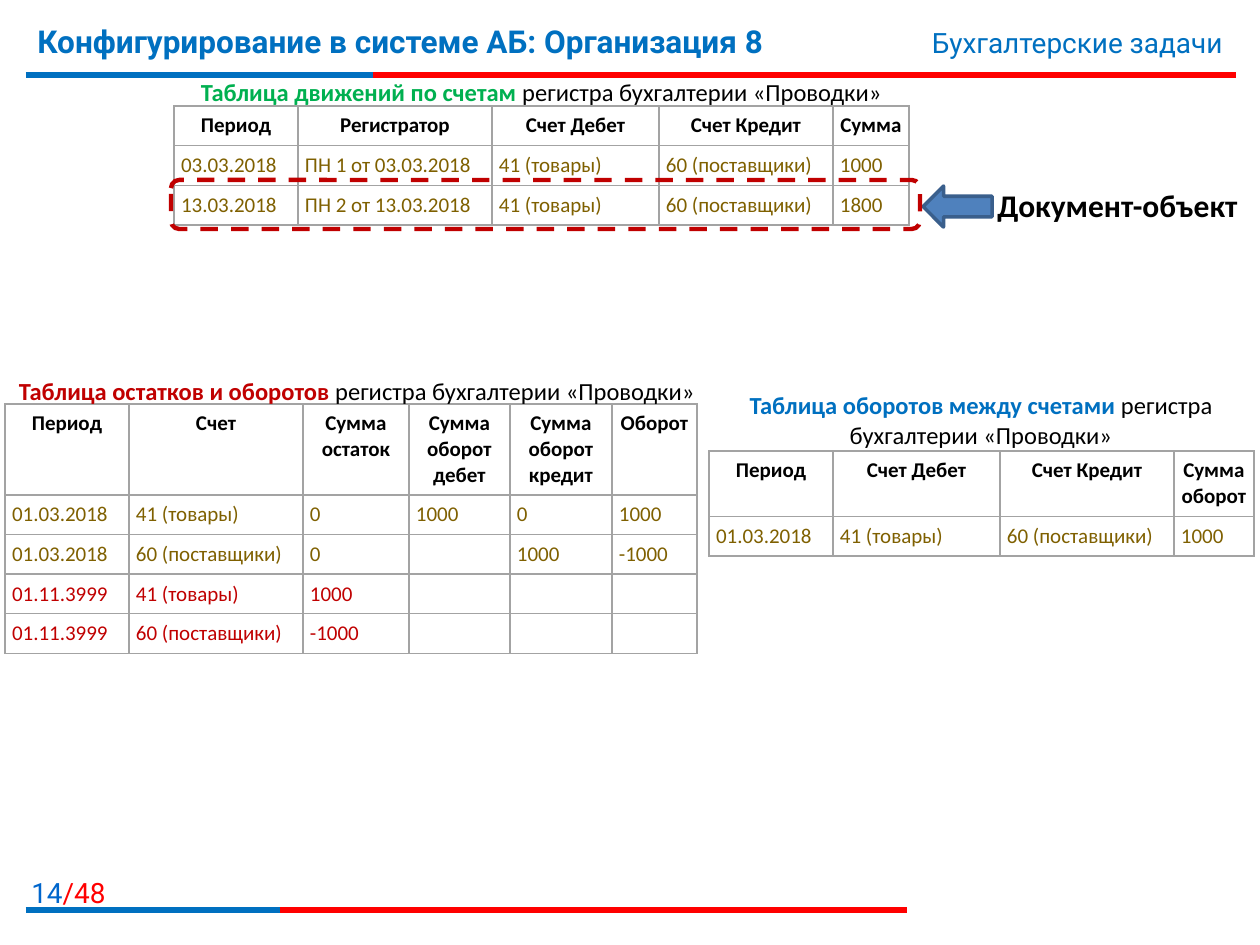
"""Build the slide with the accounting register tables."""
from dataclasses import dataclass

from lxml.etree import SubElement
from pptx import Presentation
from pptx.dml.color import RGBColor
from pptx.enum.dml import MSO_LINE_DASH_STYLE as Dash
from pptx.enum.shapes import MSO_CONNECTOR as Connector, MSO_SHAPE as Shape
from pptx.enum.text import PP_ALIGN as Align
from pptx.oxml.ns import qn
from pptx.util import Emu, Pt

EMU_PER_PX = 914400 / 126
RED = RGBColor(0xFF, 0x00, 0x00)
BLUE = RGBColor(0x00, 0x70, 0xC0)
NUMBER_BLUE = RGBColor(0x00, 0x66, 0xCC)
GREEN = RGBColor(0x00, 0xB0, 0x50)
DARK_RED = RGBColor(0xC0, 0x00, 0x00)
OLIVE = RGBColor(0x7F, 0x60, 0x00)
BLACK = RGBColor(0x00, 0x00, 0x00)
ARROW_FILL = RGBColor(0x4F, 0x81, 0xBD)
ARROW_LINE = RGBColor(0x3A, 0x5F, 0x8C)
BORDER_HEX = "A3A3A3"
CELL_INSET = 7
ROW_HEIGHT = 39
REGISTER = " регистра бухгалтерии «Проводки»"


@dataclass
class Piece:
    text: str
    color: RGBColor
    bold: bool = False


@dataclass
class Label:
    box: tuple[int, int, int, int]
    pieces: list[Piece]
    size: int
    font: str = "Calibri"
    align: Align = Align.LEFT


@dataclass
class Rule:
    y: int
    end: int
    color: RGBColor


@dataclass
class Grid:
    left: int
    top: int
    columns: list[int]
    header_height: int
    rows: list[list[str]]
    red_from: int = 99


RULES = [
    Rule(75, 1236, RED),
    Rule(75, 373, BLUE),
    Rule(910, 907, RED),
    Rule(910, 280, BLUE),
]
LABELS = [
    Label((6, 869, 112, 40), [Piece("14", NUMBER_BLUE), Piece("/48", RED)], 16, "Roboto", Align.RIGHT),
    Label((25, 16, 932, 78), [Piece("Конфигурирование в системе АБ: Организация 8", BLUE, True)], 18, "Roboto"),
    Label((748, 19, 487, 47), [Piece("Бухгалтерские задачи", BLUE)], 16, "Roboto", Align.RIGHT),
    Label((175, 71, 733, 43), [Piece("Таблица движений по счетам", GREEN, True), Piece(REGISTER, BLACK)],
          14, align=Align.CENTER),
    Label((5, 370, 704, 43), [Piece("Таблица остатков и оборотов", DARK_RED, True), Piece(REGISTER, BLACK)],
          14, align=Align.CENTER),
    Label((709, 384, 544, 73), [Piece("Таблица оборотов между счетами", BLUE, True), Piece(REGISTER, BLACK)],
          14, align=Align.CENTER),
    Label((985, 180, 275, 50), [Piece("Документ-объект", BLACK, True)], 18),
]
GRIDS = [
    Grid(709, 451, [124, 167, 174, 80], 65, [
        ["Период", "Счет Дебет", "Счет Кредит", "Сумма оборот"],
        ["01.03.2018", "41 (товары)", "60 (поставщики)", "1000"],
    ]),
    Grid(5, 404, [124, 174, 106, 101, 102, 85], 89, [
        ["Период", "Счет", "Сумма остаток", "Сумма оборот дебет", "Сумма оборот кредит", "Оборот"],
        ["01.03.2018", "41 (товары)", "0", "1000", "0", "1000"],
        ["01.03.2018", "60 (поставщики)", "0", "", "1000", "-1000"],
        ["01.11.3999", "41 (товары)", "1000", "", "", ""],
        ["01.11.3999", "60 (поставщики)", "-1000", "", "", ""],
    ], red_from=3),
    Grid(174, 106, [124, 194, 167, 174, 76], ROW_HEIGHT, [
        ["Период", "Регистратор", "Счет Дебет", "Счет Кредит", "Сумма"],
        ["03.03.2018", "ПН 1 от 03.03.2018", "41 (товары)", "60 (поставщики)", "1000"],
        ["13.03.2018", "ПН 2 от 13.03.2018", "41 (товары)", "60 (поставщики)", "1800"],
    ]),
]


def px(value: int) -> Emu:
    """Turn pixels into EMU."""
    return Emu(round(value * EMU_PER_PX))


def format_run(run, size: int, font: str, color: RGBColor, bold: bool) -> None:
    """Set the character format of a run."""
    run.font.size = Pt(size)
    run.font.name = font
    run.font.bold = bold
    run.font.color.rgb = color


def draw_rule(slide, rule: Rule) -> None:
    """Draw one horizontal rule from the left margin."""
    y = px(rule.y)
    line = slide.shapes.add_connector(Connector.STRAIGHT, px(26), y, px(rule.end), y)
    line.line.color.rgb = rule.color
    line.line.width = Pt(3)
    SubElement(line._element.spPr, qn("a:effectLst"))


def draw_label(slide, label: Label) -> None:
    """Draw a text box made of coloured pieces."""
    text_frame = slide.shapes.add_textbox(*map(px, label.box)).text_frame
    text_frame.word_wrap = True
    paragraph = text_frame.paragraphs[0]
    paragraph.alignment = label.align
    for piece in label.pieces:
        run = paragraph.add_run()
        run.text = piece.text
        format_run(run, label.size, label.font, piece.color, piece.bold)


def format_cell(cell, text: str, color: RGBColor, is_header: bool) -> None:
    """Fill in a table cell and give it thin borders."""
    cell.margin_left = cell.margin_right = px(CELL_INSET)
    cell.margin_top = cell.margin_bottom = px(CELL_INSET)
    cell.text_frame.text = text
    paragraph = cell.text_frame.paragraphs[0]
    paragraph.alignment = Align.CENTER if is_header else Align.LEFT
    for run in paragraph.runs:
        format_run(run, 12, "Calibri", color, is_header)
    if not text:
        SubElement(paragraph._p, qn("a:endParaRPr"), sz="1200")
    properties = cell._tc.get_or_add_tcPr()
    for side in ("lnL", "lnR", "lnT", "lnB"):
        border = SubElement(properties, qn(f"a:{side}"), w=str(Pt(1)))
        SubElement(SubElement(border, qn("a:solidFill")), qn("a:srgbClr"), val=BORDER_HEX)
    cell.fill.background()


def draw_grid(slide, grid: Grid) -> None:
    """Draw a table with a bold header row."""
    heights = [grid.header_height] + [ROW_HEIGHT] * (len(grid.rows) - 1)
    box = (grid.left, grid.top, sum(grid.columns), sum(heights))
    table = slide.shapes.add_table(len(heights), len(grid.columns), *map(px, box)).table
    table.first_row = table.horz_banding = False
    for column, width in zip(table.columns, grid.columns):
        column.width = px(width)
    for index, (height, texts) in enumerate(zip(heights, grid.rows)):
        table.rows[index].height = px(height)
        color = BLACK if index == 0 else DARK_RED if index >= grid.red_from else OLIVE
        for cell, text in zip(table.rows[index].cells, texts):
            format_cell(cell, text, color, index == 0)


def draw_row_marker(slide) -> None:
    """Draw the arrow and the dashed frame around the marked row."""
    arrow = slide.shapes.add_shape(Shape.LEFT_ARROW, *map(px, (923, 186, 69, 41)))
    arrow.shadow.inherit = False
    arrow.fill.solid()
    arrow.fill.fore_color.rgb = ARROW_FILL
    arrow.line.color.rgb = ARROW_LINE
    arrow.line.width = Pt(2)
    frame = slide.shapes.add_shape(Shape.ROUNDED_RECTANGLE, *map(px, (171, 180, 749, 49)))
    frame.shadow.inherit = False
    frame.fill.background()
    frame.line.color.rgb = DARK_RED
    frame.line.width = Pt(2.5)
    frame.line.dash_style = Dash.DASH


def main() -> None:
    """Build and save the presentation."""
    presentation = Presentation()
    presentation.slide_width, presentation.slide_height = px(1260), px(945)
    slide = presentation.slides.add_slide(presentation.slide_layouts[6])
    for rule in RULES:
        draw_rule(slide, rule)
    for grid in GRIDS:
        draw_grid(slide, grid)
    for label in LABELS:
        draw_label(slide, label)
    draw_row_marker(slide)
    presentation.save("out.pptx")


if __name__ == "__main__":
    main()
